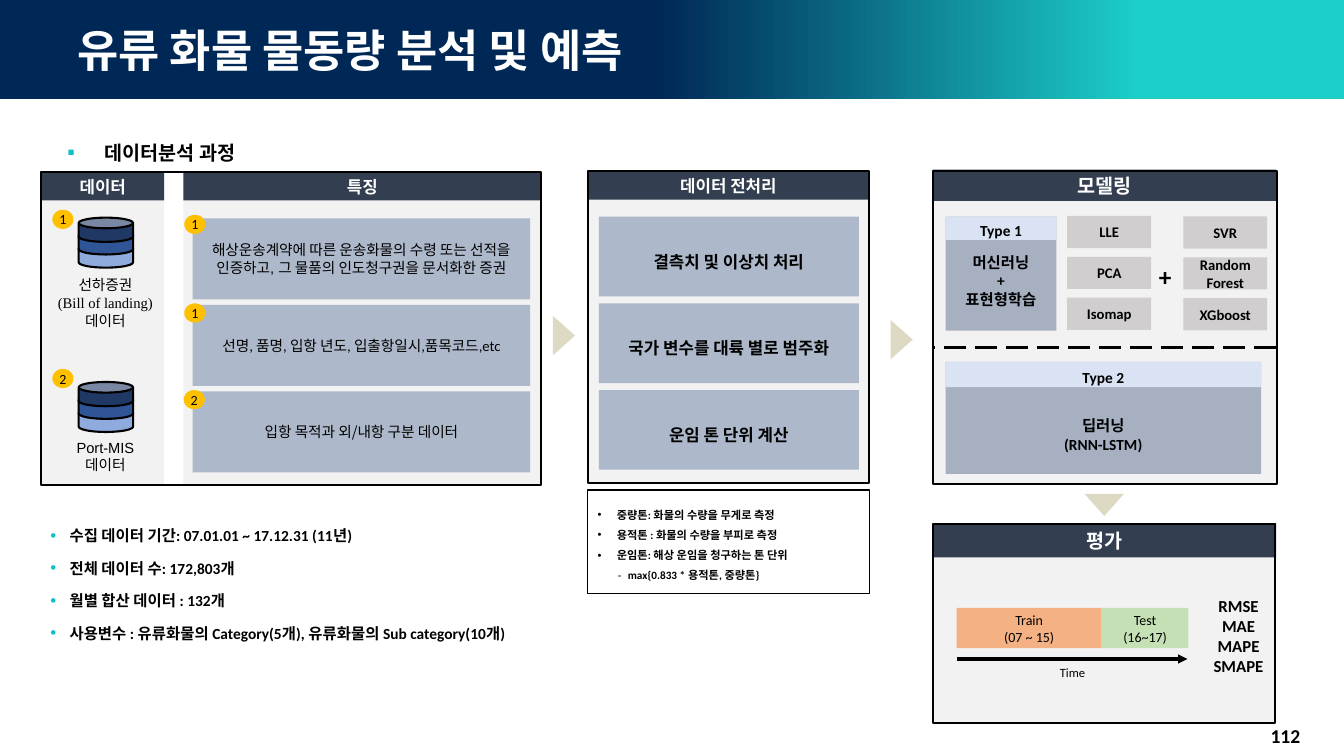
from lxml import etree
from pptx import Presentation
from pptx.dml.color import RGBColor
from pptx.enum.dml import MSO_LINE
from pptx.enum.shapes import MSO_CONNECTOR, MSO_SHAPE
from pptx.enum.text import MSO_ANCHOR, MSO_AUTO_SIZE, PP_ALIGN
from pptx.oxml.ns import qn
from pptx.util import Pt

RECT, OVAL, CAN = MSO_SHAPE.RECTANGLE, MSO_SHAPE.OVAL, MSO_SHAPE.CAN
TRIANGLE = MSO_SHAPE.ISOSCELES_TRIANGLE
LEFT, CENTER, RIGHT = PP_ALIGN.LEFT, PP_ALIGN.CENTER, PP_ALIGN.RIGHT
MIDDLE, TOP = MSO_ANCHOR.MIDDLE, MSO_ANCHOR.TOP
NO_FIT = MSO_AUTO_SIZE.NONE
rgb = RGBColor.from_string

BLACK, WHITE = "000000", "FFFFFF"
PANEL, HEADER, STEP = "F2F2F2", "333F50", "ADB9CA"
TYPE_HEAD, TYPE_BODY, METHOD = "DAE3F3", "A6B0C1", "D0CECE"
BADGE, ARROW, ACCENT = "FFC000", "DDD9C3", "11BFCB"


def write(sp, text, size, bold=True, color=BLACK, font="Calibri", align=CENTER,
          anchor=MIDDLE, bullet=None, spacing=None, before=0):
    """Fill a shape with text; bullet is (character, colour, indent)."""
    tf = sp.text_frame
    tf.word_wrap = True
    tf.auto_size = NO_FIT
    tf.vertical_anchor = anchor
    tf.text = text
    for i, p in enumerate(tf.paragraphs):
        if bullet:
            char, bullet_color, indent = bullet
            pPr = p._p.get_or_add_pPr()
            pPr.set("marL", str(Pt(indent)))
            pPr.set("indent", str(-Pt(indent)))
            clr = etree.SubElement(pPr, qn("a:buClr"))
            etree.SubElement(clr, qn("a:srgbClr"), val=bullet_color)
            if bullet_color == ACCENT:
                etree.SubElement(pPr, qn("a:buSzPct"), val="110000")
            etree.SubElement(pPr, qn("a:buFont"), typeface="Arial")
            etree.SubElement(pPr, qn("a:buChar"), char=char)
        p.alignment = align
        p.space_before = Pt(before if i else 0)
        if spacing:
            p.line_spacing = spacing
        for r in p.runs:
            r.font.size, r.font.bold, r.font.name = Pt(size), bold, font
            r.font.color.rgb = rgb(color)


def box(x, y, w, h, fill=None, line=None, kind=RECT):
    """Add a flat shape with no text insets."""
    sp = s.shapes.add_shape(kind, Pt(x), Pt(y), Pt(w), Pt(h))
    sp.shadow.inherit = False
    if fill:
        sp.fill.solid()
        sp.fill.fore_color.rgb = rgb(fill)
    else:
        sp.fill.background()
    if line:
        sp.line.color.rgb = rgb(BLACK)
        sp.line.width = Pt(line)
    else:
        sp.line.fill.background()
    tf = sp.text_frame
    tf.margin_left = tf.margin_right = tf.margin_top = tf.margin_bottom = 0
    return sp


prs = Presentation()
prs.slide_width, prs.slide_height = Pt(960), Pt(540)
s = prs.slides.add_slide(prs.slide_layouts[3])

# Banner behind the title
banner = box(0, 0, 960, 70.6, HEADER)
banner.fill.gradient()
banner.fill.gradient_angle = 0
for stop, (position, color) in zip(banner.fill.gradient_stops,
                                   [(0.49, "002856"), (0.85, "1CCFC9")]):
    stop.position = position
    stop.color.rgb = rgb(color)
s.shapes._spTree.insert(2, banner._element)

# Title, section heading and data summary
title, heading, summary = s.placeholders
for sp, (x, y, w, h) in [(title, (48, 0, 864, 70.6)),
                         (heading, (41, 80, 279, 56)),
                         (summary, (28.8, 372.2, 353, 91))]:
    sp.left, sp.top, sp.width, sp.height = Pt(x), Pt(y), Pt(w), Pt(h)
write(title, "유류 화물 물동량 분석 및 예측", 32, color=WHITE, font="Arial", align=LEFT)
write(heading, "데이터분석 과정", 14, align=LEFT, anchor=TOP,
      bullet=("▪", ACCENT, 26.6), spacing=2)
write(summary, "수집 데이터 기간: 07.01.01 ~ 17.12.31 (11년)\n"
      "전체 데이터 수: 172,803개\n"
      "월별 합산 데이터 : 132개\n"
      "사용변수 : 유류화물의 Category(5개), 유류화물의 Sub category(10개)",
      11, align=LEFT, anchor=TOP, bullet=("•", ACCENT, 13.7), before=10)

# Panels and their header bars
for x, y, w, h, bar, name, size in [
        (29.5, 123, 87.8, 223, 20.2, "데이터", 12),
        (131, 123, 255.6, 223, 20.2, "특징", 12),
        (419.8, 122.4, 201, 222.6, 20.2, "데이터 전처리", 12),
        (666.4, 121.2, 245.2, 224.4, 22.3, "모델링", 14),
        (666.7, 373.7, 244.8, 142, 24.5, "평가", 14)]:
    box(x, y, w, h, PANEL)
    write(box(x, y, w, bar, HEADER), name, size, color=WHITE)

# Data sources: stacked disks and captions
for y, caption_y, caption, font in [
        (155.5, 193.7, "선하증권\n(Bill of landing)\n데이터", "Times New Roman"),
        (272.9, 309.6, "Port-MIS\n데이터", "Arial")]:
    for dy, color in [(18.4, "8FAADC"), (9, "2F5597"), (0, "203864")]:
        disk = box(56.2, y + dy, 38.9, 17.3, color, 1.5, CAN)
        disk.adjustments[0] = 0.438
    sp = s.shapes.add_textbox(Pt(31), Pt(caption_y), Pt(88.6), Pt(45))
    write(sp, caption, 10.5, bold=False, font=font, anchor=TOP)

# Features of each source
for i, (text, font) in enumerate([
        ("해상운송계약에 따른 운송화물의 수령 또는 선적을 인증하고, "
         "그 물품의 인도청구권을 문서화한 증권", "Arial"),
        ("선명, 품명, 입항 년도, 입출항일시,품목코드,etc", "Calibri"),
        ("입항 목적과 외/내항 구분 데이터", "Noto Sans CJK KR")]):
    sp = box(137.7, 156 + 61.8 * i, 241, 57.8, STEP)
    write(sp, text, 10.5, bold=False, font=font)
    sp.text_frame.margin_left = sp.text_frame.margin_right = Pt(7.2)

# Numbered badges
for x, y, number in [(37.4, 149.8, "1"), (37.4, 263.5, "2"), (131.6, 153.4, "1"),
                     (131.6, 216.7, "1"), (131.2, 278.6, "2")]:
    write(box(x, y, 15.1, 13.7, BADGE, kind=OVAL), number, 10, bold=False)

# Preprocessing steps
for i, text in enumerate(["결측치 및 이상치 처리", "국가 변수를 대륙 별로 범주화",
                          "운임 톤 단위 계산"]):
    write(box(427.7, 154.8 + 61.9 * i, 185.8, 56.9, STEP), text, 12, spacing=1.5)

# Ton definitions
memo = box(419.8, 349.9, 201.2, 74.2, line=1)
memo.text_frame.margin_left = Pt(7.2)
write(memo, "중량톤: 화물의 수량을 무게로 측정\n용적톤 : 화물의 수량을 부피로 측정\n"
      "운임톤: 해상 운임을 청구하는 톤 단위\nmax{0.833 * 용적톤, 중량톤}",
      8, align=LEFT, bullet=("•", BLACK, 13.7), spacing=1.5)
pPr = memo.text_frame.paragraphs[-1]._p.pPr
pPr.set("marL", str(Pt(21.6)))
pPr.set("indent", str(-Pt(7.2)))
pPr.find(qn("a:buChar")).set("char", "⁃")

# Model types
for x, y, w, head_h, body_h, name, text in [
        (675.4, 154.8, 79.2, 16.6, 81.4, "Type 1", "머신러닝\n+\n표현형학습"),
        (675.4, 258.5, 225.4, 18, 80, "Type 2", "딥러닝\n(RNN-LSTM)")]:
    body = box(x, y, w, body_h, TYPE_BODY)
    write(body, text, 11)
    body.text_frame.margin_top = Pt(head_h - 7 if name == "Type 1" else head_h + 6)
    head = box(x, y, w, head_h, TYPE_HEAD)
    write(head, name, 11)
    head.text_frame.margin_top = Pt(3.6)

# Representation learning methods and regressors
for x, y, names in [(762.3, 154.2, ["LLE", "PCA", "Isomap"]),
                    (845.2, 154.6, ["SVR", "Random Forest", "XGboost"])]:
    for i, name in enumerate(names):
        write(box(x, y + 29.2 * i, 60, 23, METHOD), name, 10.5)
plus = s.shapes.add_textbox(Pt(820.8), Pt(183), Pt(24.5), Pt(29))
write(plus, "+", 18, align=LEFT, anchor=TOP)
plus.text_frame.word_wrap = False

# Evaluation: split and metrics
write(box(858.2, 419.8, 53, 68.4), "RMSE\nMAE\nMAPE\nSMAPE", 12)
for x, w, color, text in [(683.3, 103.7, "F4B183", "Train\n(07 ~ 15)"),
                          (787, 61.9, "C5E0B4", "Test\n(16~17)")]:
    write(box(x, 434.2, w, 28.8, color), text, 10, bold=False)
sp = s.shapes.add_textbox(Pt(744.5), Pt(471.6), Pt(43.2), Pt(18))
write(sp, "Time", 9, bold=False, anchor=TOP)

# Panel frames
for x, y, w, h in [(29.5, 123, 357.1, 223.2), (419.8, 122, 201.2, 223.2),
                   (666.7, 122.4, 245.5, 223.2), (666.7, 374.4, 244.1, 141.8)]:
    box(x, y, w, h, line=1.5)

# Time arrow and divider between model types
for x1, x2, y, width in [(683.3, 848.2, 470.7, 2.25), (911.5, 666.7, 248.4, 2)]:
    line = s.shapes.add_connector(MSO_CONNECTOR.STRAIGHT, Pt(x1), Pt(y), Pt(x2), Pt(y))
    line.line.color.rgb = rgb(BLACK)
    line.line.width = Pt(width)
    if x1 < x2:
        etree.SubElement(line.line._get_or_add_ln(), qn("a:tailEnd"), type="triangle")
    else:
        line.line.dash_style = MSO_LINE.LONG_DASH
    etree.SubElement(line._element.spPr, qn("a:effectLst"))

# Flow arrows
for x, y, angle in [(388.8, 231.8, 90), (630, 234.7, 90), (774.7, 352.8, 180)]:
    box(x, y, 28.1, 15.8, ARROW, kind=TRIANGLE).rotation = angle

# Page number
sp = s.shapes.add_textbox(Pt(727.2), Pt(511.2), Pt(208.8), Pt(28.8))
write(sp, "112", 14, align=RIGHT)

prs.save("out.pptx")
